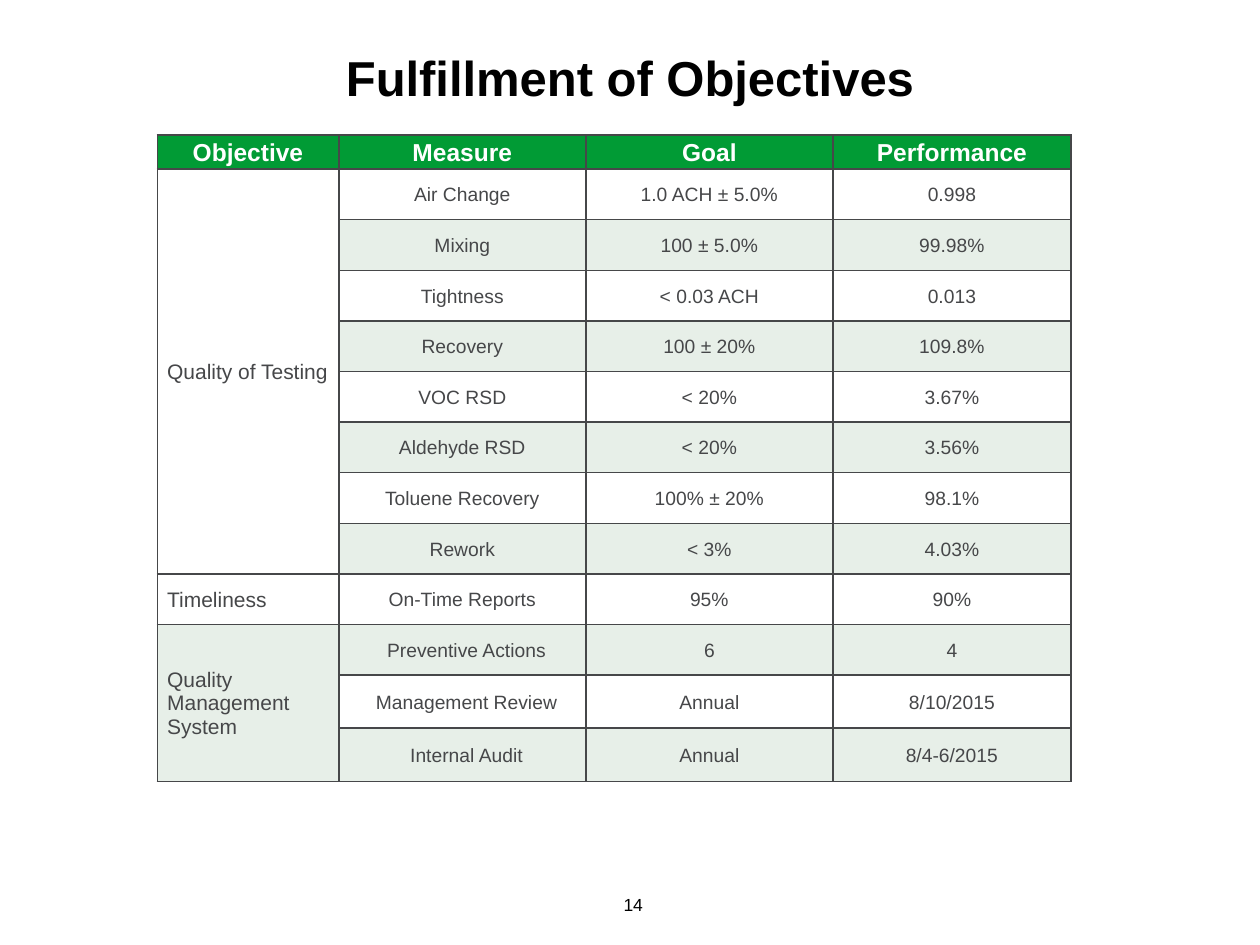
"""Build the objectives slide: a title, a results table and a page number."""
from dataclasses import dataclass
from typing import Optional

from lxml import etree
from pptx import Presentation
from pptx import util as u
from pptx.dml.color import RGBColor
from pptx.enum import text
from pptx.oxml import ns

COLORS = {"black": "000000", "white": "FFFFFF", "green": "019B35",
          "pale": "E7EFE8", "gray": "464749"}
COLUMNS = [3.66, 4.98, 4.98, 4.8]
ROWS = [0.69] + [1.02] * 10 + [1.07] * 2 + [0.5]
HEADERS = ["Objective", "Measure", "Goal", "Performance"]
LEFT, CENTER, RIGHT = text.PP_ALIGN.LEFT, text.PP_ALIGN.CENTER, text.PP_ALIGN.RIGHT
TOP, MIDDLE = text.MSO_ANCHOR.TOP, text.MSO_ANCHOR.MIDDLE
INDENT = 0.2


@dataclass
class Objective:
    name: str
    measures: list[tuple[str, str, str]]
    indent: float = 0.03


OBJECTIVES = [
    Objective("Quality of Testing", [
        ("Air Change", "1.0 ACH ± 5.0%", "0.998"),
        ("Mixing", "100 ± 5.0%", "99.98%"),
        ("Tightness", "< 0.03 ACH", "0.013"),
        ("Recovery", "100 ± 20%", "109.8%"),
        ("VOC RSD", "< 20%", "3.67%"),
        ("Aldehyde RSD", "< 20%", "3.56%"),
        ("Toluene Recovery", "100% ± 20%", "98.1%"),
        ("Rework", "< 3%", "4.03%"),
    ]),
    Objective("Timeliness", [("On-Time Reports", "95%", "90%")]),
    Objective("Quality Management System", [
        ("Preventive Actions", "6", "4"),
        ("Management Review", "Annual", "8/10/2015"),
        ("Internal Audit", "Annual", "8/4-6/2015"),
    ], indent=INDENT),
]


def write(tf, content: str, *, size: float, color: str = "black",
          bold: bool = False, align=CENTER) -> None:
    """Write one formatted paragraph into a text frame."""
    tf.word_wrap = True
    p = tf.paragraphs[0]
    p.alignment = align
    r = p.add_run()
    r.text = content
    r.font.name = "Arial"
    r.font.size = u.Pt(size)
    r.font.bold = bold
    r.font.color.rgb = RGBColor.from_string(COLORS[color])


def place(sp, left: float, top: float, width: float, height: float) -> None:
    """Set a shape's position and size in centimetres."""
    sp.left, sp.top, sp.width, sp.height = map(u.Cm, (left, top, width, height))


def add_borders(cell, sides: str) -> None:
    """Draw gray lines on the given sides of a cell and none on the others."""
    tc_pr = cell._tc.get_or_add_tcPr()
    for side in "LRTB":
        ln = etree.SubElement(tc_pr, ns.qn(f"a:ln{side}"), w=str(u.Pt(1)))
        if side in sides:
            fill = etree.SubElement(ln, ns.qn("a:solidFill"))
            etree.SubElement(fill, ns.qn("a:srgbClr"), val=COLORS["gray"])
        else:
            etree.SubElement(ln, ns.qn("a:noFill"))


def style_cell(cell, fill: Optional[str], sides: str = "LRTB") -> None:
    """Set a cell's borders, fill, margins and anchor."""
    add_borders(cell, sides)
    if fill:
        cell.fill.solid()
        cell.fill.fore_color.rgb = RGBColor.from_string(COLORS[fill])
    else:
        cell.fill.background()
    cell.margin_left = cell.margin_right = cell.margin_top = u.Cm(0.03)
    cell.margin_bottom = 0
    cell.vertical_anchor = MIDDLE


def add_results(s) -> None:
    """Add the table of objectives, measures, goals and performance."""
    frame = s.shapes.add_table(len(ROWS), len(COLUMNS), u.Cm(3.17), u.Cm(2.72),
                               u.Cm(sum(COLUMNS)), u.Cm(sum(ROWS)))
    table = frame.table
    for column, width in zip(table.columns, COLUMNS):
        column.width = u.Cm(width)
    last = len(ROWS) - 1
    for i, height in enumerate(ROWS):
        table.rows[i].height = u.Cm(height)
        fill = "green" if i == 0 else "pale" if i % 2 == 0 and i < last else None
        for cell in table.rows[i].cells:
            style_cell(cell, fill, "T" if i == last else "LRTB")
            if i == last:
                write(cell.text_frame, "", size=8)

    for j, header in enumerate(HEADERS):
        write(table.cell(0, j).text_frame, header, size=14, color="white", bold=True)

    row = 1
    for objective in OBJECTIVES:
        name = table.cell(row, 0)
        if len(objective.measures) > 1:
            name.merge(table.cell(row + len(objective.measures) - 1, 0))
        name.margin_left = u.Cm(INDENT)
        write(name.text_frame, objective.name, size=12, color="gray", align=LEFT)
        for measure in objective.measures:
            table.cell(row, 1).margin_left = u.Cm(objective.indent)
            for j, value in enumerate(measure, 1):
                write(table.cell(row, j).text_frame, value, size=11, color="gray")
            row += 1


def main() -> None:
    """Build and save the slide."""
    prs = Presentation()
    prs.slide_width, prs.slide_height = u.Cm(25.4), u.Cm(19.05)
    s = prs.slides.add_slide(prs.slide_layouts[5])
    title = s.shapes.title
    place(title, 0, 0.84, 25.4, 2.34)
    title.text_frame.vertical_anchor = TOP
    write(title.text_frame, "Fulfillment of Objectives", size=28, bold=True)
    add_results(s)
    number = s.shapes.add_textbox(0, 0, 0, 0)
    place(number, 11.43, 17.73, 1.78, 1.02)
    number.text_frame.vertical_anchor = MIDDLE
    write(number.text_frame, "14", size=10, align=RIGHT)
    prs.save("out.pptx")


if __name__ == "__main__":
    main()
